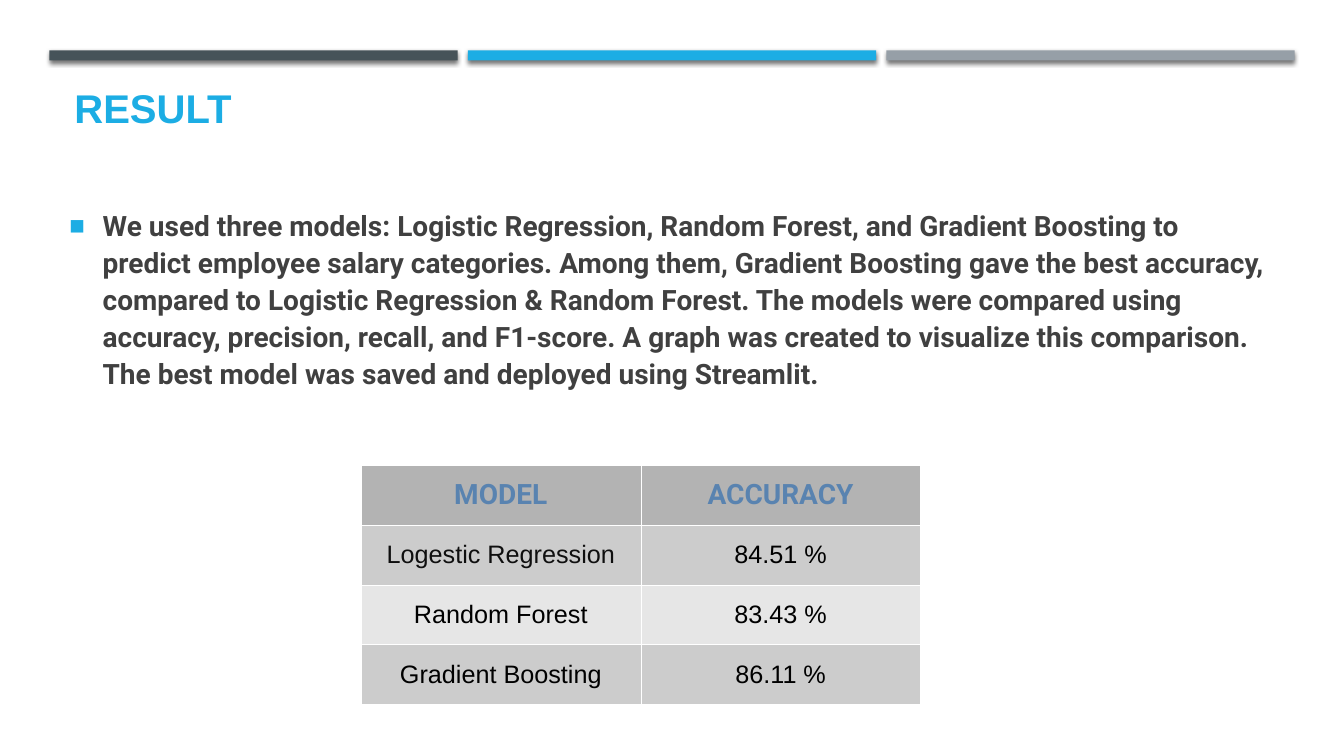
from lxml import etree
from pptx import Presentation, util as u
from pptx.dml.color import RGBColor
from pptx.enum import shapes, text
from pptx.oxml.ns import qn

# Content
BAR_COLOURS = ["465359", "1CADE4", "969FA7"]
TITLE = "RESULT"
SUMMARY = (
    "We used three models: Logistic Regression, Random Forest, and Gradient Boosting "
    "to predict employee salary categories. Among them, Gradient Boosting gave the best "
    "accuracy, compared to Logistic Regression & Random Forest. The models were compared "
    "using accuracy, precision, recall, and F1-score. A graph was created to visualize this "
    "comparison. The best model was saved and deployed using Streamlit."
)
RESULTS = [
    ("MODEL", "ACCURACY"),
    ("Logestic Regression", "84.51 %"),
    ("Random Forest", "83.43 %"),
    ("Gradient Boosting", "86.11 %"),
]
ACCENT = "1CADE4"
HEADER_FILL, BAND_FILLS = "B3B3B3", ["E6E6E6", "CCCCCC"]


def colour(value):
    return RGBColor.from_string(value)


def add_xml(parent, tag, **attributes):
    return etree.SubElement(parent, qn(tag), attributes)


def write(frame, words, size, font="Arial", fill="000000", bold=False,
          align=None, anchor=text.MSO_ANCHOR.MIDDLE):
    frame.word_wrap = True
    frame.vertical_anchor = anchor
    para = frame.paragraphs[0]
    para.alignment = align
    span = para.add_run()
    span.text = words
    span.font.size, span.font.name, span.font.bold = u.Pt(size), font, bold
    span.font.color.rgb = colour(fill)
    return para


def add_text(left, top, width, height, words, **style):
    box = page.shapes.add_textbox(*map(u.Inches, (left, top, width, height)))
    return write(box.text_frame, words, **style)


def add_shadow(shape):
    effects = add_xml(shape._element.spPr, "a:effectLst")
    shadow = add_xml(effects, "a:outerShdw", blurRad=str(u.Pt(3)), dist=str(u.Pt(2)),
                     dir="5400000", rotWithShape="0")
    tint = add_xml(shadow, "a:srgbClr", val="000000")
    add_xml(tint, "a:alpha", val="55000")


def add_bullet(para, symbol, fill, percent):
    props = para._p.get_or_add_pPr()
    props.set("marL", str(u.Inches(0.33)))
    props.set("indent", str(-u.Inches(0.33)))
    add_xml(add_xml(props, "a:buClr"), "a:srgbClr", val=fill)
    add_xml(props, "a:buSzPct", val=str(percent * 1000))
    add_xml(props, "a:buFont", typeface="Arial")
    add_xml(props, "a:buChar", char=symbol)


def add_borders(cell, fill, width):
    props = cell._tc.get_or_add_tcPr()
    for place, side in enumerate(("a:lnL", "a:lnR", "a:lnT", "a:lnB")):
        line = add_xml(props, side, w=str(u.Pt(width)))
        add_xml(add_xml(line, "a:solidFill"), "a:srgbClr", val=fill)
        props.insert(place, line)


deck = Presentation()
deck.slide_width, deck.slide_height = u.Inches(13.33), u.Inches(7.5)
page = deck.slides.add_slide(deck.slide_layouts[6])

# Three bars across the top
for index, bar_colour in enumerate(BAR_COLOURS):
    bar = page.shapes.add_shape(
        shapes.MSO_SHAPE.RECTANGLE, u.Inches(0.49 + index * 4.15), u.Inches(0.5),
        u.Inches(4.05), u.Inches(0.1))
    bar.fill.solid()
    bar.fill.fore_color.rgb = colour(bar_colour)
    bar.line.fill.background()
    add_shadow(bar)

# Title and summary
add_text(0.64, 0.77, 12.06, 0.58, TITLE, size=28.6, fill=ACCENT, bold=True,
         anchor=text.MSO_ANCHOR.BOTTOM)
summary = add_text(0.59, 1.75, 12.06, 2.4, SUMMARY, size=20, font="Roboto",
                   fill="404040", bold=True)
summary.line_spacing = 1.1
summary.space_before, summary.space_after = u.Pt(5.6), u.Pt(6)
add_bullet(summary, "■", ACCENT, 92)

# Accuracy table
table = page.shapes.add_table(
    len(RESULTS), 2, u.Inches(3.58), u.Inches(4.61), u.Inches(5.55), u.Inches(2.38)).table
for column in table.columns:
    column.width = u.Inches(2.775)
for row_index, row in enumerate(RESULTS):
    table.rows[row_index].height = u.Inches(0.595)
    for column_index, words in enumerate(row):
        cell = table.cell(row_index, column_index)
        if row_index == 0:
            style = dict(size=20, font="Roboto", fill="5983B0", bold=True)
        else:
            style = dict(size=18, fill="0F0F0F" if (row_index, column_index) == (1, 0) else "000000")
        write(cell.text_frame, words, align=text.PP_ALIGN.CENTER, **style)
        cell.vertical_anchor = text.MSO_ANCHOR.MIDDLE
        cell.fill.solid()
        cell.fill.fore_color.rgb = colour(BAND_FILLS[row_index % 2] if row_index else HEADER_FILL)
        add_borders(cell, "FFFFFF", 0.06)

deck.save("out.pptx")
